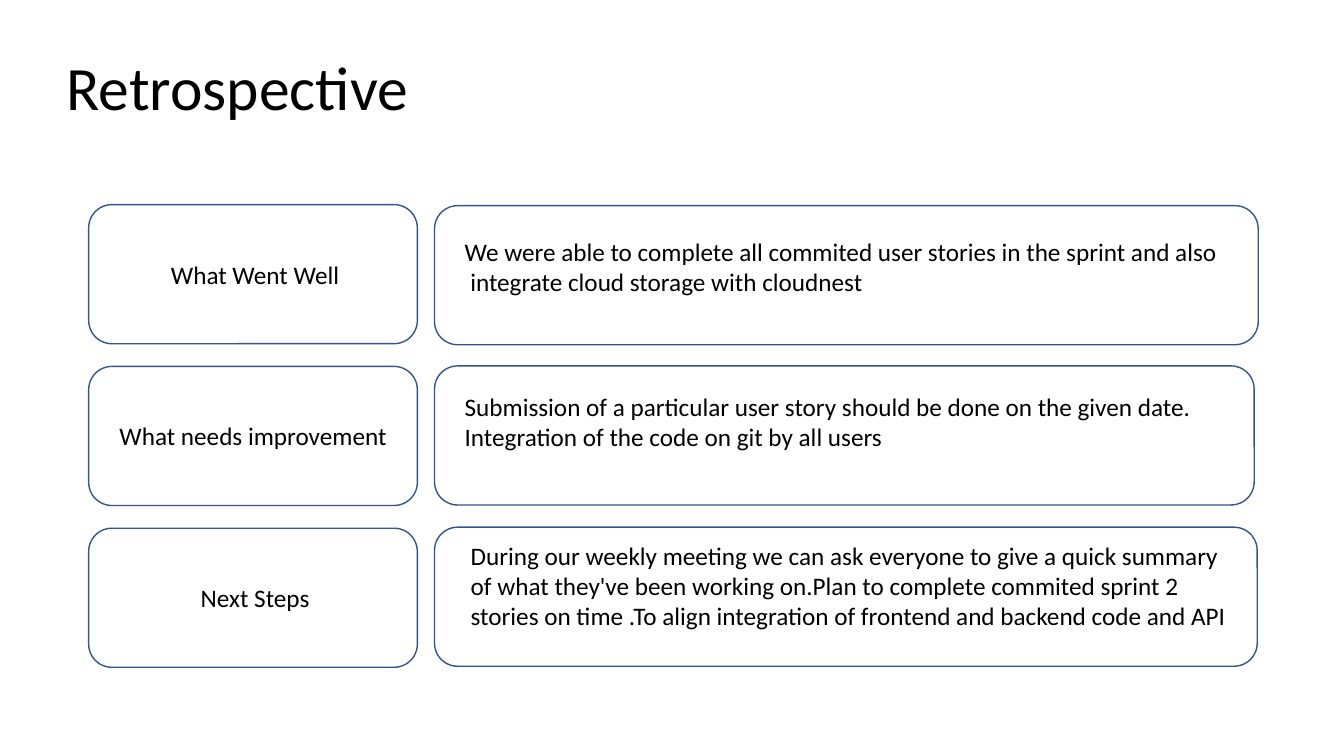
from pptx import Presentation
from pptx.dml.color import RGBColor
from pptx.enum.shapes import MSO_SHAPE as Shape
from pptx.enum.text import MSO_ANCHOR as Anchor, MSO_AUTO_SIZE as AutoSize, PP_ALIGN as Align
from pptx.util import Inches, Pt

COLORS = {"paper": "FFFFFF", "ink": "000000", "outline": "325491"}
FONT = "Calibri"
CARD_HEIGHT = 1.38
LABEL_CARD_TOP, ROW_PITCH = 2.03, 1.605

# Label and its left; card top and width; note and its left, top, width, height
ROWS = [
    ("What Went Well", 1.07, (2.04, 8.17),
     "We were able to complete all commited user stories in the sprint and "
     "also  integrate cloud storage with cloudnest",
     (4.51, 2.29, 7.67, 0.71)),
    ("What needs improvement", 1.05, (3.63, 8.13),
     "Submission of a particular user story should be done on the given date. "
     "Integration of the code on git by all users",
     (4.51, 3.83, 7.49, 0.71)),
    ("Next Steps", 1.07, (5.23, 8.16),
     "During our weekly meeting we can ask everyone to give a quick summary of what "
     "they've been working on.Plan to complete commited sprint 2 stories on time ."
     "To align integration of frontend and backend code and API",
     (4.57, 5.31, 7.84, 1.01)),
]


def rgb(name):
    return RGBColor.from_string(COLORS[name])


def write_text(frame, text, size=18, align=Align.LEFT, anchor=Anchor.TOP,
               autosize=AutoSize.SHAPE_TO_FIT_TEXT, line_spacing=None):
    frame.word_wrap = True
    frame.auto_size = autosize
    frame.vertical_anchor = anchor
    para = frame.paragraphs[0]
    para.alignment = align
    para.line_spacing = line_spacing
    span = para.add_run()
    span.text = text
    span.font.name = FONT
    span.font.size = Pt(size)
    span.font.color.rgb = rgb("ink")


class SlideBuilder:
    """Adds styled elements to one slide."""

    def __init__(self, slide):
        self.slide = slide

    def paint(self, shape):
        shape.fill.solid()
        shape.fill.fore_color.rgb = rgb("paper")

    def title(self, text, left, top, width, height):
        box = self.slide.shapes.title
        box.left, box.top = Inches(left), Inches(top)
        box.width, box.height = Inches(width), Inches(height)
        self.paint(box)
        write_text(box.text_frame, text, size=44, anchor=Anchor.BOTTOM,
                   autosize=AutoSize.NONE, line_spacing=0.9)

    def card(self, left, top, width):
        card = self.slide.shapes.add_shape(
            Shape.ROUNDED_RECTANGLE, Inches(left), Inches(top), Inches(width), Inches(CARD_HEIGHT))
        card.shadow.inherit = False
        self.paint(card)
        card.line.color.rgb = rgb("outline")
        card.line.width = Pt(1)

    def text(self, text, left, top, width, height, **style):
        box = self.slide.shapes.add_textbox(
            Inches(left), Inches(top), Inches(width), Inches(height))
        self.paint(box)
        write_text(box.text_frame, text, **style)


def main():
    deck = Presentation()
    deck.slide_width, deck.slide_height = Inches(13.33), Inches(7.5)
    page = SlideBuilder(deck.slides.add_slide(deck.slide_layouts[5]))
    page.title("Retrospective", 0.56, 0.27, 12.19, 1.01)
    for index, (label, label_left, (card_top, card_width), note, note_area) in enumerate(ROWS):
        top = LABEL_CARD_TOP + index * ROW_PITCH
        page.card(0.88, top, 3.26)
        page.text(label, label_left, top + 0.49, 2.92, 0.4, align=Align.CENTER)
        page.card(4.31, card_top, card_width)
        page.text(note, *note_area)
    deck.save("out.pptx")


if __name__ == "__main__":
    main()
